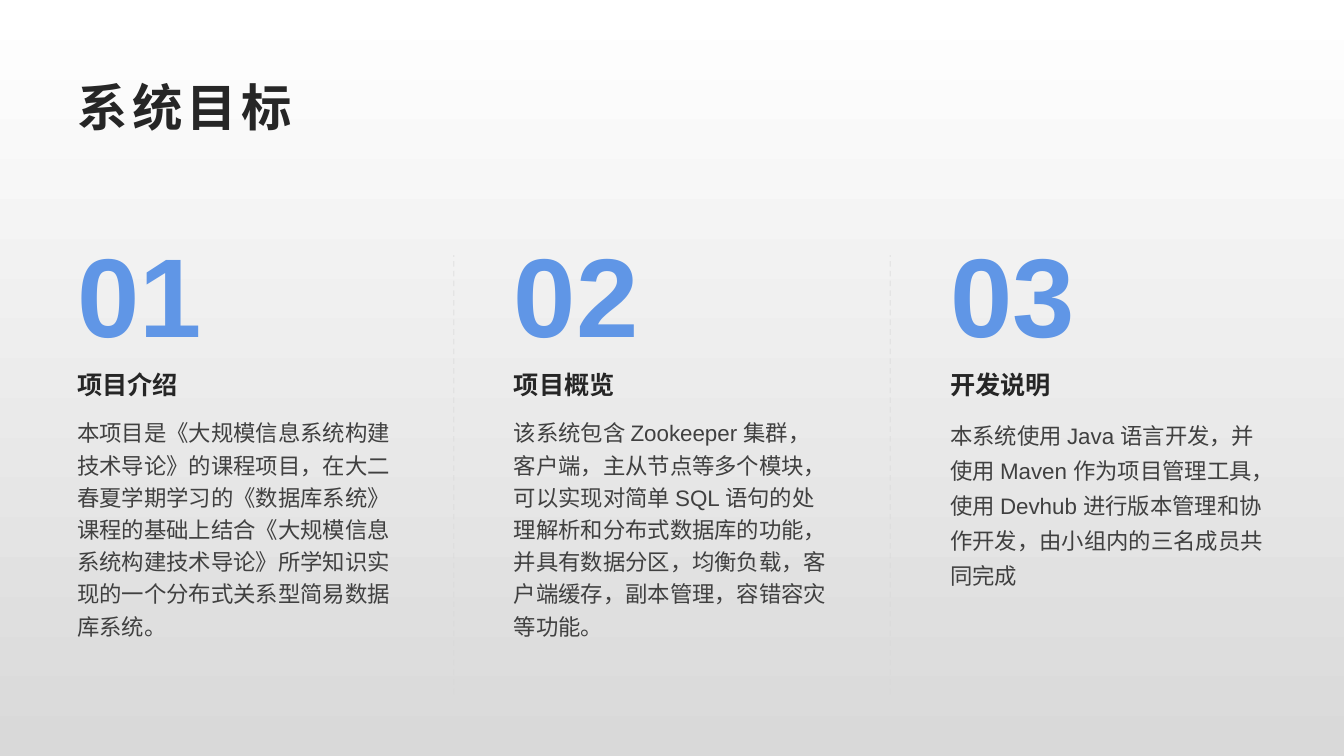
from lxml.etree import SubElement as Sub
from pptx import Presentation
from pptx.dml.color import RGBColor as Rgb
from pptx.enum.dml import MSO_LINE as Dash
from pptx.enum.shapes import MSO_CONNECTOR as Link
from pptx.enum.text import MSO_ANCHOR as Anchor, MSO_AUTO_SIZE as Fit, PP_ALIGN as Align
from pptx.oxml.ns import qn
from pptx.util import Cm, Pt


def paint(color, value):
    color.rgb = Rgb.from_string(value)


class Deck:
    font = "Arial"
    blue, dark, gray, pale = "6096E6", "262626", "404040", "D9D9D9"

    def __init__(self, wide, high):
        self.file = Presentation()
        self.file.slide_width, self.file.slide_height = Cm(wide), Cm(high)
        self.slide = self.file.slides.add_slide(self.file.slide_layouts[5])

    def back(self, top, base):
        fill = self.slide.background.fill
        fill.gradient()
        fill.gradient_angle = 270
        for stop, value in zip(fill.gradient_stops, (top, base)):
            paint(stop.color, value)

    def put(self, frame, lines, size, color, bold=False, gap=None, anchor=Anchor.TOP):
        frame.word_wrap = True
        frame.auto_size = Fit.NONE
        frame.vertical_anchor = anchor
        for i, line in enumerate(lines):
            para = frame.add_paragraph() if i else frame.paragraphs[0]
            para.alignment = Align.LEFT
            para.line_spacing = gap
            run = para.add_run()
            run.text = line
            run.font.name, run.font.size, run.font.bold = self.font, Pt(size), bold
            paint(run.font.color, color)

    def title(self, text, left, top, wide, high):
        box = self.slide.shapes.title
        box.left, box.top, box.width, box.height = map(Cm, (left, top, wide, high))
        self.put(box.text_frame, [text], 36, self.dark, True, anchor=Anchor.MIDDLE)
        run = next(box._element.iter(qn("a:rPr")))
        run.set("spc", "300")

    def text(self, lines, left, top, wide, high, *style, **more):
        box = self.slide.shapes.add_textbox(*map(Cm, (left, top, wide, high)))
        self.put(box.text_frame, lines, *style, **more)

    def rule(self, x, top, base):
        link = self.slide.shapes.add_connector(
            Link.STRAIGHT, Cm(x), Cm(base), Cm(x), Cm(top))
        line = link.line
        line.width, line.dash_style = Pt(1), Dash.DASH
        paint(line.color, self.pale)
        tone = next(link._element.spPr.iter(qn("a:srgbClr")))
        Sub(tone, qn("a:alpha")).set("val", "50000")
        Sub(link._element.spPr, qn("a:effectLst"))


# Heading, paragraphs and line spacing of each column
parts = [
    ("项目介绍", [
        "本项目是《大规模信息系统构建技术导论》的课程项目，在大二春夏学期学习的《数据库系统》",
        "课程的基础上结合《大规模信息系统构建技术导论》所学知识实现的一个分布式关系型简易数据库系统。",
    ], 1.2),
    ("项目概览", [
        "该系统包含 Zookeeper 集群，客户端，主从节点等多个模块，"
        "可以实现对简单 SQL 语句的处理解析和分布式数据库的功能，"
        "并具有数据分区，均衡负载，客户端缓存，副本管理，容错容灾等功能。",
    ], 1.2),
    ("开发说明", [
        "本系统使用 Java 语言开发，并使用 Maven 作为项目管理工具，"
        "使用 Devhub 进行版本管理和协作开发，由小组内的三名成员共同完成",
    ], 1.3),
]

# Background and title
deck = Deck(33.87, 19.05)
deck.back("FFFFFF", deck.pale)
left, wide, step = 1.7, 8.47, 11
deck.title("系统目标", left, 1.7, 30.48, 1.96)

# Numbered columns
for i, (head, body, gap) in enumerate(parts):
    x = left + i * step
    deck.text([f"{i + 1:02}"], x, 5.51, wide, 3.68, 80, deck.blue, True, anchor=Anchor.BOTTOM)
    deck.text([head], x, 9.19, wide, 1.12, 18, deck.dark, True)
    deck.text(body, x, 10.31, wide, 7.16, 16, deck.gray, gap=gap)

# Dashed rules midway between columns
for i in range(len(parts) - 1):
    deck.rule(left + i * step + (wide + step) / 2, 6.43, 17.5)

deck.file.save("out.pptx")
